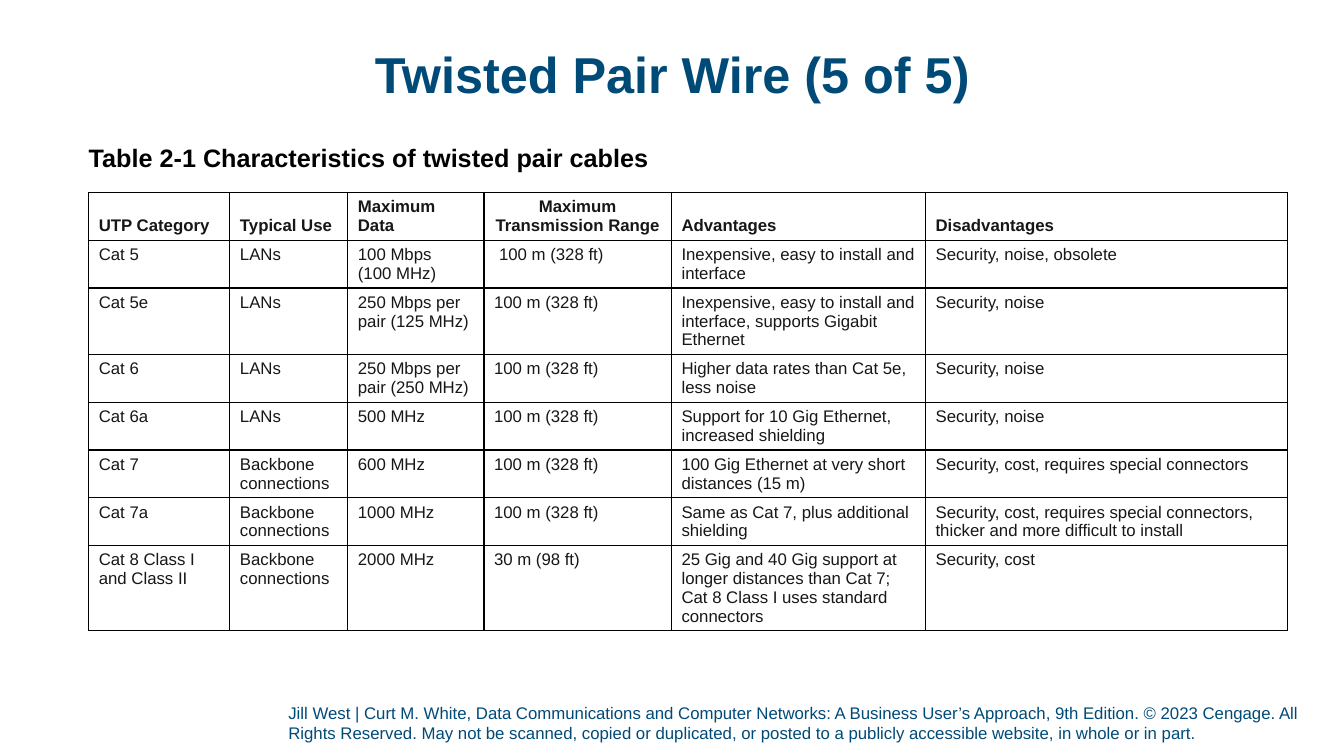
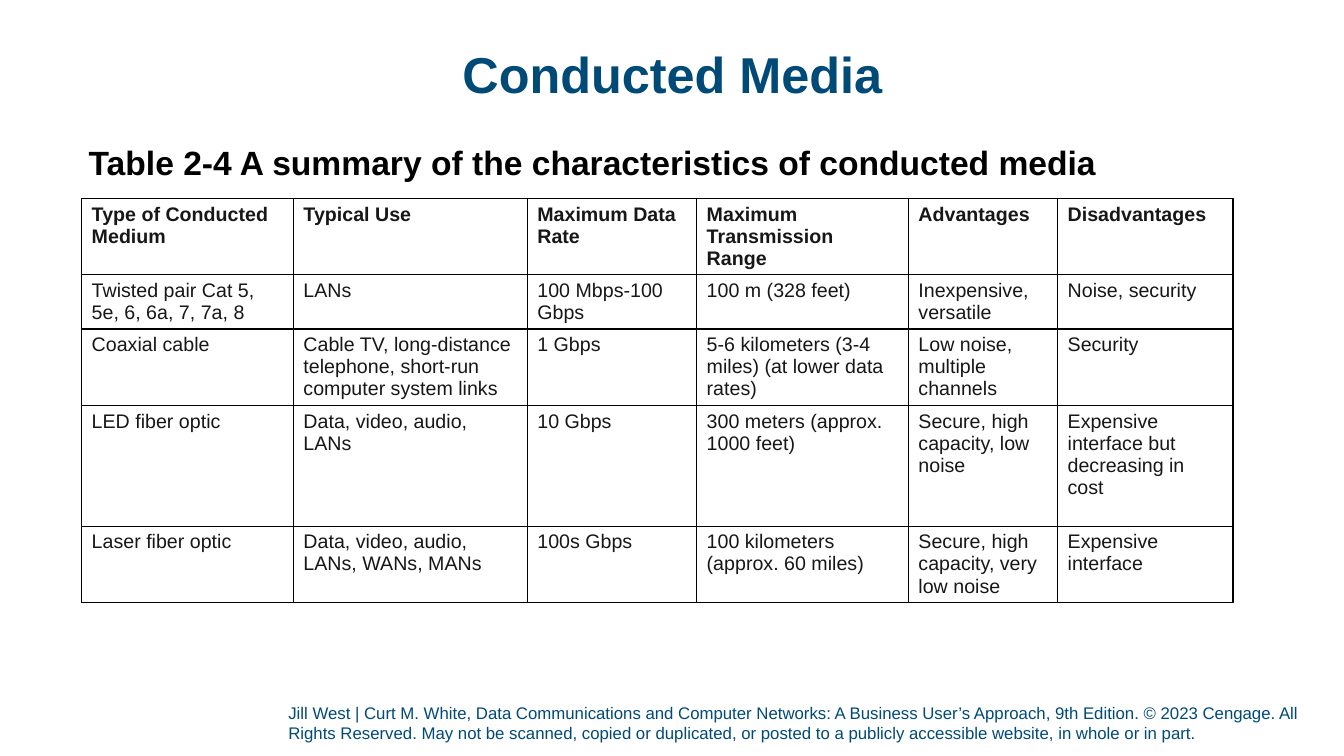
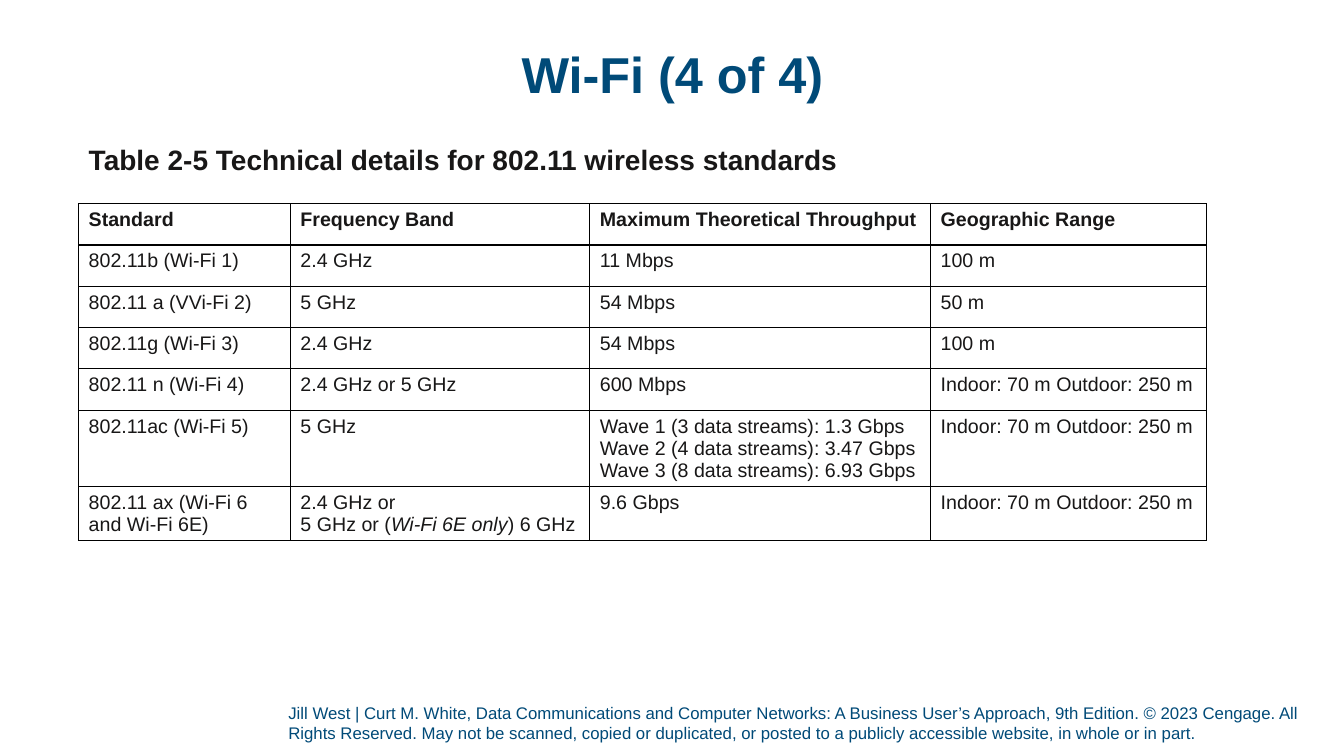
import dataclasses

import lxml.etree
import pptx
import pptx.dml.color
import pptx.enum.text
import pptx.oxml.ns
import pptx.util

Inches = pptx.util.Inches
Pt = pptx.util.Pt
Align = pptx.enum.text.PP_ALIGN
Anchor = pptx.enum.text.MSO_ANCHOR
Fit = pptx.enum.text.MSO_AUTO_SIZE
qn = pptx.oxml.ns.qn


@dataclasses.dataclass(frozen=True)
class Theme:
    font: str = "Arial"
    blue: str = "004A78"
    black: str = "000000"
    ink: str = "181717"
    white: str = "FFFFFF"
    title: int = 36
    foot: int = 12
    rule: int = 1


THEME = Theme()
TITLE_BOX = (0.92, 0.4, 11.5, 0.74)
FOOT_BOX = (2.86, 6.97, 10.34, 0.45)
FOOT = (
    "Jill West | Curt M. White, Data Communications and Computer Networks: "
    "A Business User’s Approach, 9th Edition. © 2023 Cengage. All Rights Reserved. "
    "May not be scanned, copied or duplicated, or posted to a publicly accessible "
    "website, in whole or in part."
)

SLIDES = [
    dict(
        title="Twisted Pair Wire (5 of 5)",
        label="Table 2-1 Characteristics of twisted pair cables",
        label_box=(0.81, 1.41, 5.85, 0.45), label_size=18, label_color=THEME.black,
        place=(0.88, 1.91), size=12, head_anchor=Anchor.BOTTOM,
        cols=[1.4, 1.17, 1.35, 1.86, 2.52, 3.59],
        heights=[0.47, 0.47, 0.65, 0.47, 0.47, 0.47, 0.47, 0.84],
        rows=[
            ["UTP Category", "Typical Use", "Maximum Data",
             "Maximum Transmission Range", "Advantages", "Disadvantages"],
            ["Cat 5", "LANs", "100 Mbps\n(100 MHz)", "100 m (328 ft)",
             "Inexpensive, easy to install and interface",
             "Security, noise, obsolete"],
            ["Cat 5e", "LANs", "250 Mbps per pair (125 MHz)", "100 m (328 ft)",
             "Inexpensive, easy to install and interface, supports Gigabit Ethernet",
             "Security, noise"],
            ["Cat 6", "LANs", "250 Mbps per pair (250 MHz)", "100 m (328 ft)",
             "Higher data rates than Cat 5e, less noise", "Security, noise"],
            ["Cat 6a", "LANs", "500 MHz", "100 m (328 ft)",
             "Support for 10 Gig Ethernet, increased shielding", "Security, noise"],
            ["Cat 7", "Backbone connections", "600 MHz", "100 m (328 ft)",
             "100 Gig Ethernet at very short distances (15 m)",
             "Security, cost, requires special connectors"],
            ["Cat 7a", "Backbone connections", "1000 MHz", "100 m (328 ft)",
             "Same as Cat 7, plus additional shielding",
             "Security, cost, requires special connectors, "
             "thicker and more difficult to install"],
            ["Cat 8 Class I and Class II", "Backbone connections", "2000 MHz",
             "30 m (98 ft)",
             "25 Gig and 40 Gig support at longer distances than Cat 7; "
             "Cat 8 Class I uses standard connectors", "Security, cost"],
        ],
    ),
    dict(
        title="Conducted Media",
        label="Table 2-4 A summary of the characteristics of conducted media",
        label_box=(0.81, 1.41, 10.36, 0.56), label_size=24, label_color=THEME.black,
        place=(0.81, 1.97), size=14,
        cols=[2.1, 2.32, 1.68, 2.1, 1.48, 1.74],
        heights=[0.75, 0.53, 0.75, 1.2, 0.75],
        rows=[
            ["Type of Conducted Medium", "Typical Use", "Maximum Data Rate",
             "Maximum Transmission Range", "Advantages", "Disadvantages"],
            ["Twisted pair Cat 5, 5e, 6, 6a, 7, 7a, 8", "LANs", "100 Mbps-100 Gbps",
             "100 m (328 feet)", "Inexpensive, versatile", "Noise, security"],
            ["Coaxial cable",
             "Cable TV, long-distance telephone, short-run computer system links",
             "1 Gbps", "5-6 kilometers (3-4 miles) (at lower data rates)",
             "Low noise, multiple channels", "Security"],
            ["LED fiber optic", "Data, video, audio, LANs", "10 Gbps",
             "300 meters (approx. 1000 feet)", "Secure, high capacity, low noise",
             "Expensive interface but decreasing in cost"],
            ["Laser fiber optic", "Data, video, audio, LANs, WANs, MANs", "100s Gbps",
             "100 kilometers (approx. 60 miles)",
             "Secure, high capacity, very low noise", "Expensive interface"],
        ],
    ),
    dict(
        title="Wi-Fi (4 of 4)",
        label="Table 2-5 Technical details for 802.11 wireless standards",
        label_box=(0.81, 1.41, 7.65, 0.49), label_size=20, label_color=THEME.ink,
        place=(0.78, 2.02), size=14,
        cols=[2.1, 2.97, 3.38, 2.74],
        heights=[0.41] * 5 + [0.75, 0.53],
        rows=[
            ["Standard", "Frequency Band", "Maximum Theoretical Throughput",
             "Geographic Range"],
            ["802.11b (Wi-Fi 1)", "2.4 GHz", "11 Mbps", "100 m"],
            ["802.11 a (VVi-Fi 2)", "5 GHz", "54 Mbps", "50 m"],
            ["802.11g (Wi-Fi 3)", "2.4 GHz", "54 Mbps", "100 m"],
            ["802.11 n (Wi-Fi 4)", "2.4 GHz or 5 GHz", "600 Mbps",
             "Indoor: 70 m Outdoor: 250 m"],
            ["802.11ac (Wi-Fi 5)", "5 GHz",
             "Wave 1 (3 data streams): 1.3 Gbps\n"
             "Wave 2 (4 data streams): 3.47 Gbps\n"
             "Wave 3 (8 data streams): 6.93 Gbps", "Indoor: 70 m Outdoor: 250 m"],
            ["802.11 ax (Wi-Fi 6 and Wi-Fi 6E)",
             "2.4 GHz or\n5 GHz or (*Wi-Fi 6E only*) 6 GHz", "9.6 Gbps",
             "Indoor: 70 m Outdoor: 250 m"],
        ],
    ),
]


def rgb(code):
    return pptx.dml.color.RGBColor.from_string(code)


def write(frame, text, size, color, bold=False, align=Align.LEFT, space=1.0, left=None):
    """Fill a text frame: newlines part paragraphs, asterisks enclose italics."""
    frame.word_wrap = True
    for i, line in enumerate(text.split("\n")):
        para = frame.add_paragraph() if i else frame.paragraphs[0]
        para.alignment = align
        para.line_spacing = space
        para.space_before = Pt(0)
        if left is not None:
            props = para._p.get_or_add_pPr()
            props.set("marL", str(Inches(left)))
            props.set("indent", "0")
            lxml.etree.SubElement(props, qn("a:buNone"))
        for j, part in enumerate(line.split("*")):
            run = para.add_run()
            run.text = part
            font = run.font
            font.name, font.size, font.bold = THEME.font, Pt(size), bold
            font.italic = j % 2 == 1
            font.color.rgb = rgb(color)


def inset(frame, bottom=0):
    frame.margin_left = frame.margin_right = frame.margin_top = 0
    frame.margin_bottom = Inches(bottom)
    frame.auto_size = Fit.NONE


def move(shape, box):
    shape.left, shape.top, shape.width, shape.height = map(Inches, box)


def add_foot(deck, slide):
    """Draw the footer once and hand it to the master."""
    shape = slide.shapes.add_textbox(*map(Inches, FOOT_BOX))
    inset(shape.text_frame, 0.05)
    shape.text_frame.vertical_anchor = Anchor.BOTTOM
    write(shape.text_frame, FOOT, THEME.foot, THEME.blue)
    deck.slide_master.shapes.element.append(shape.element)


def add_title(slide, text):
    shape = slide.shapes.title
    move(shape, TITLE_BOX)
    inset(shape.text_frame)
    shape.text_frame.vertical_anchor = Anchor.MIDDLE
    write(shape.text_frame, text, THEME.title, THEME.blue, bold=True,
          align=Align.CENTER, space=0.9)


def add_label(slide, text, box, size, color):
    shape = slide.placeholders[1]
    move(shape, box)
    inset(shape.text_frame)
    write(shape.text_frame, text, size, color, bold=True, left=0.07)


def edge(cell):
    """Rule all four sides; the lines must come before the fill."""
    props = cell._tc.get_or_add_tcPr()
    for i, side in enumerate(("lnL", "lnR", "lnT", "lnB")):
        line = lxml.etree.Element(qn("a:" + side), w=str(Pt(THEME.rule)))
        fill = lxml.etree.SubElement(line, qn("a:solidFill"))
        lxml.etree.SubElement(fill, qn("a:srgbClr"), val=THEME.black)
        props.insert(i, line)


def add_grid(slide, place, cols, heights, rows, size, head_anchor=Anchor.TOP):
    box = (*place, sum(cols), sum(heights))
    table = slide.shapes.add_table(len(rows), len(cols), *map(Inches, box)).table
    table.first_row = table.horz_banding = False
    for col, width in zip(table.columns, cols):
        col.width = Inches(width)
    for i, (row, height, texts) in enumerate(zip(table.rows, heights, rows)):
        row.height = Inches(height)
        for cell, text in zip(row.cells, texts):
            cell.fill.solid()
            cell.fill.fore_color.rgb = rgb(THEME.white)
            edge(cell)
            cell.vertical_anchor = Anchor.TOP if i else head_anchor
            write(cell.text_frame, text, size, THEME.ink, bold=i == 0)
    return table


def add_page(deck, title, label, label_box, label_size, label_color, **grid):
    slide = deck.slides.add_slide(deck.slide_layouts[1])
    add_title(slide, title)
    add_label(slide, label, label_box, label_size, label_color)
    return slide, add_grid(slide, **grid)


def main():
    deck = pptx.Presentation()
    deck.slide_width, deck.slide_height = Inches(13.33), Inches(7.5)
    pages = [add_page(deck, **data) for data in SLIDES]
    slide, cables = pages[0]
    add_foot(deck, slide)
    cables.cell(0, 3).text_frame.paragraphs[0].alignment = Align.CENTER
    cables.cell(1, 3).margin_left = Inches(0.15)
    deck.save("out.pptx")


if __name__ == "__main__":
    main()
